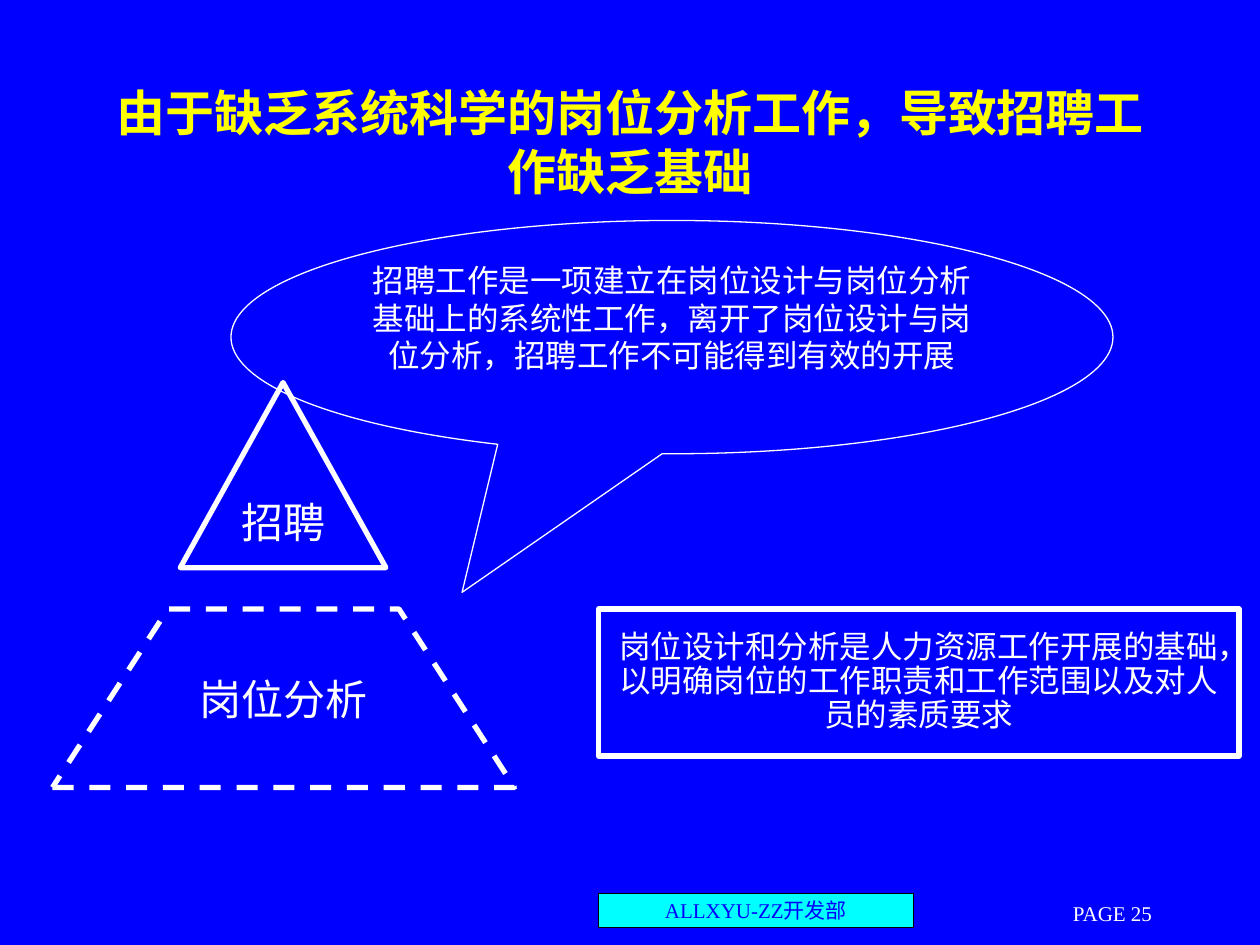
from pptx import Presentation
from pptx.dml.color import RGBColor
from pptx.enum.dml import MSO_LINE_DASH_STYLE as Dash
from pptx.enum.shapes import MSO_SHAPE as Shape
from pptx.enum.text import MSO_ANCHOR as Anchor, PP_ALIGN as Align
from pptx.oxml.ns import qn
from pptx.util import Pt

# Content
TITLE = "由于缺乏系统科学的岗位分析工作，导致招聘工作缺乏基础"
BASE = "岗位分析"
PEAK = "招聘"
EXPLANATION = "岗位设计和分析是人力资源工作开展的基础，以明确岗位的工作职责和工作范围以及对人员的素质要求"
CALLOUT = "招聘工作是一项建立在岗位设计与岗位分析基础上的系统性工作，离开了岗位设计与岗位分析，招聘工作不可能得到有效的开展"
DEPARTMENT = "ALLXYU-ZZ开发部"
PAGE = "PAGE 25"

BLUE = RGBColor(0x00, 0x00, 0xFF)
CYAN = RGBColor(0x00, 0xFF, 0xFF)
YELLOW = RGBColor(0xFF, 0xFF, 0x00)
WHITE = RGBColor(0xFF, 0xFF, 0xFF)
BLACK = RGBColor(0x00, 0x00, 0x00)
SERIF, CJK = "Times New Roman", "Noto Sans CJK SC"


def write(box, text, size, color=WHITE, font=SERIF, align=Align.CENTER,
          anchor=Anchor.MIDDLE, wrap=True, bold=False):
    frame = box.text_frame
    frame.text = text
    frame.word_wrap = wrap
    frame.vertical_anchor = anchor
    paragraph = frame.paragraphs[0]
    paragraph.alignment = align
    run_font = paragraph.runs[0].font
    run_font.size, run_font.name, run_font.bold = Pt(size), font, bold
    run_font.color.rgb = color
    east_asian = run_font._element.makeelement(qn("a:ea"), {"typeface": CJK})
    run_font._element.find(qn("a:latin")).addnext(east_asian)
    return paragraph


def outline(shape, width, color=WHITE, fill=None):
    shape.shadow.inherit = False
    if fill is None:
        shape.fill.background()
    else:
        shape.fill.solid()
        shape.fill.fore_color.rgb = fill
    shape.line.color.rgb = color
    shape.line.width = Pt(width)
    return shape


def add_preset(kind, left, top, width, height):
    return slide.shapes.add_shape(kind, Pt(left), Pt(top), Pt(width), Pt(height))


prs = Presentation()
prs.slide_width, prs.slide_height = Pt(720), Pt(540)
slide = prs.slides.add_slide(prs.slide_layouts[5])
slide.background.fill.solid()
slide.background.fill.fore_color.rgb = BLUE

# Footer
department = outline(add_preset(Shape.RECTANGLE, 342, 510.5, 180, 19.5), 0.75, BLACK, CYAN)
write(department, DEPARTMENT, 12, BLUE, wrap=False)
page = slide.shapes.add_textbox(Pt(606), Pt(512.5), Pt(120), Pt(18))
write(page, PAGE, 12, align=Align.LEFT, wrap=False)

# Title
title = slide.shapes.title
title.left, title.top, title.width, title.height = Pt(54), Pt(36), Pt(612), Pt(90)
write(title, TITLE, 28, YELLOW, CJK, bold=True)

# Pyramid: dashed base under a solid peak
builder = slide.shapes.build_freeform(Pt(30), Pt(450))
builder.add_line_segments([(Pt(x), Pt(y)) for x, y in
                           ((294, 450), (228, 348), (96, 348))], close=True)
base = outline(builder.convert_to_shape(), 3)
base.line.dash_style = Dash.DASH
write(base, BASE, 24, wrap=False)
peak = outline(add_preset(Shape.ISOSCELES_TRIANGLE, 103, 218.6, 117.5, 105.8), 3)
write(peak, PEAK, 24, wrap=False)

# Explanations
explanation = outline(add_preset(Shape.RECTANGLE, 342, 348, 366, 84), 3)
write(explanation, EXPLANATION, 18).line_spacing = 0.9
callout = outline(add_preset(Shape.OVAL_CALLOUT, 132, 126, 504, 133.3), 0.75)
callout.adjustments[0], callout.adjustments[1] = -0.238, 1.094
write(callout, CALLOUT, 18, anchor=Anchor.TOP)

prs.save("out.pptx")
